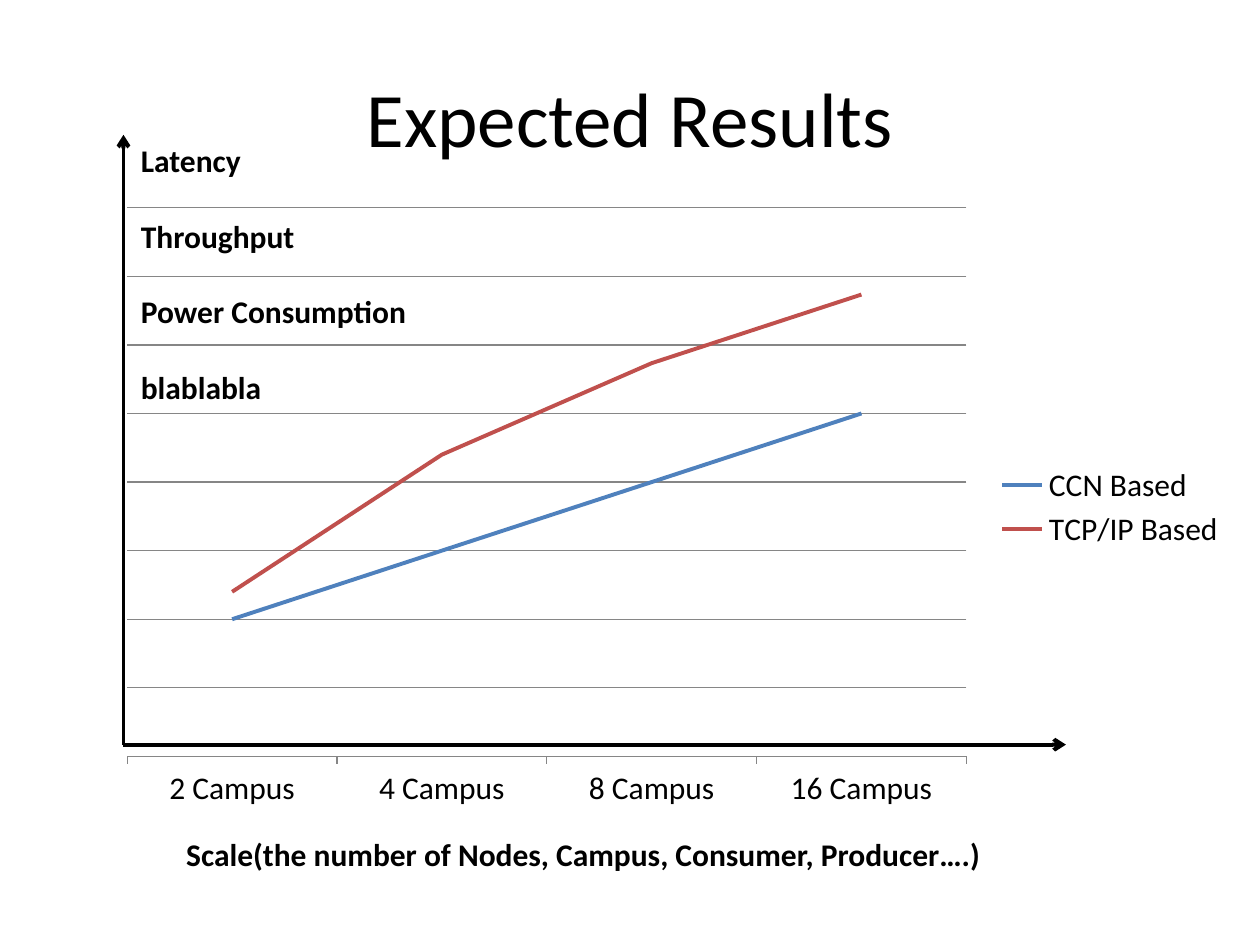
"""Build a slide with a line chart of expected results by campus scale."""
from dataclasses import dataclass

from lxml import etree
from pptx import Presentation
from pptx.chart.data import CategoryChartData
from pptx.dml.color import RGBColor
from pptx.enum.chart import (XL_AXIS_CROSSES, XL_CHART_TYPE, XL_LEGEND_POSITION,
                             XL_MARKER_STYLE, XL_TICK_LABEL_POSITION, XL_TICK_MARK)
from pptx.enum.shapes import MSO_CONNECTOR
from pptx.enum.text import MSO_ANCHOR, PP_ALIGN
from pptx.oxml import parse_xml
from pptx.oxml.ns import nsdecls, qn
from pptx.util import Inches, Pt

LINE = XL_CHART_TYPE.LINE
RIGHT = XL_LEGEND_POSITION.RIGHT
LOW = XL_TICK_LABEL_POSITION.LOW
OUT = XL_TICK_MARK.OUTSIDE
LEAST = XL_AXIS_CROSSES.MINIMUM
BARE = XL_MARKER_STYLE.NONE
STRAIGHT = MSO_CONNECTOR.STRAIGHT
LEFT, CENTER = PP_ALIGN.LEFT, PP_ALIGN.CENTER
TOP, MIDDLE = MSO_ANCHOR.TOP, MSO_ANCHOR.MIDDLE


@dataclass(frozen=True)
class Theme:
    font: str = "Calibri"
    ink: RGBColor = RGBColor(0, 0, 0)
    grid: RGBColor = RGBColor(0x86, 0x86, 0x86)
    head: float = 44
    body: float = 18
    thin: float = 0.75
    thick: float = 2.25


@dataclass(frozen=True)
class Label:
    box: tuple[float, float, float, float]
    lines: tuple[str, ...]
    size: float
    bold: bool = True
    align: PP_ALIGN = LEFT
    anchor: MSO_ANCHOR = TOP
    gap: float = 0


@dataclass(frozen=True)
class Trend:
    name: str
    values: tuple[int, ...]
    color: RGBColor


@dataclass(frozen=True)
class Arrow:
    start: tuple[float, float]
    end: tuple[float, float]


THEME = Theme()
CHART = (0.83, 1.55, 9, 4.95)
PLOT = {"x": 0.02, "y": 0.02, "w": 0.74, "h": 0.88}
CAMPUS = [f"{count} Campus" for count in (2, 4, 8, 16)]
TRENDS = (
    Trend("CCN Based", (29, 44, 59, 74), RGBColor(0x4F, 0x81, 0xBD)),
    Trend("TCP/IP Based", (35, 65, 85, 100), RGBColor(0xC0, 0x50, 0x4D)),
)
ORIGIN = (0.98, 5.91)
ARROWS = (Arrow(ORIGIN, (0.98, 1.07)), Arrow(ORIGIN, (8.46, 5.91)))
LABELS = (
    Label((0.5, 0.3, 9, 1.25), ("Expected Results",), THEME.head, False, CENTER, MIDDLE),
    Label((1.02, 1.07, 2.56, 2.22),
          ("Latency", "Throughput", "Power Consumption", "blablabla"), THEME.body, gap=21.6),
    Label((1.38, 6.58, 7.4, 0.4),
          ("Scale(the number of Nodes, Campus, Consumer, Producer….)",), THEME.body),
)


def apply(target: object, values: dict[str, object]) -> None:
    for name, value in values.items():
        setattr(target, name, value)


def style(font: object, size: float, bold: bool = False) -> None:
    apply(font, {"name": THEME.font, "size": Pt(size), "bold": bold})
    font.color.rgb = THEME.ink


def stroke(line: object, color: RGBColor, width: float) -> None:
    line.color.rgb = color
    line.width = Pt(width)


def write(slide: object, label: Label) -> None:
    frame = slide.shapes.add_textbox(*map(Inches, label.box)).text_frame
    apply(frame, {"word_wrap": True, "vertical_anchor": label.anchor,
                  "text": "\n".join(label.lines)})
    for part in frame.paragraphs:
        apply(part, {"alignment": label.align, "space_after": Pt(label.gap)})
        style(part.runs[0].font, label.size, label.bold)


def point(slide: object, arrow: Arrow) -> None:
    shape = slide.shapes.add_connector(STRAIGHT, *map(Inches, arrow.start + arrow.end))
    stroke(shape.line, THEME.ink, THEME.thick)
    etree.SubElement(shape.line._get_or_add_ln(), qn("a:tailEnd"), type="arrow")
    etree.SubElement(shape._element.spPr, qn("a:effectLst"))


def place(chart: object) -> None:
    area = chart._chartSpace.chart.plotArea
    for old in area.findall(qn("c:layout")):
        area.remove(old)
    sizes = "".join(f'<c:{key} val="{value}"/>' for key, value in PLOT.items())
    area.insert(0, parse_xml(
        f'<c:layout {nsdecls("c")}><c:manualLayout><c:layoutTarget val="inner"/>'
        f'<c:xMode val="edge"/><c:yMode val="edge"/>{sizes}'
        '</c:manualLayout></c:layout>'))


def plot(slide: object) -> None:
    data = CategoryChartData()
    data.categories = CAMPUS
    for trend in TRENDS:
        data.add_series(trend.name, trend.values)
    chart = slide.shapes.add_chart(LINE, *map(Inches, CHART), data).chart
    apply(chart, {"has_title": False, "has_legend": True})
    apply(chart.legend, {"position": RIGHT, "include_in_layout": False})
    style(chart.font, THEME.body)
    scale, base = chart.value_axis, chart.category_axis
    apply(scale, {"visible": False, "has_major_gridlines": True, "minimum_scale": -1,
                  "maximum_scale": 119, "major_unit": 15, "crosses": LEAST})
    apply(base, {"major_tick_mark": OUT, "tick_label_position": LOW})
    for line in (scale.major_gridlines.format.line, base.format.line):
        stroke(line, THEME.grid, THEME.thin)
    lines = chart.plots[0]
    lines.vary_by_categories = False
    for series, trend in zip(lines.series, TRENDS):
        series.smooth = False
        series.marker.style = BARE
        stroke(series.format.line, trend.color, THEME.thick)
    place(chart)


def main() -> None:
    deck = Presentation()
    apply(deck, {"slide_width": Inches(10), "slide_height": Inches(7.5)})
    slide = deck.slides.add_slide(deck.slide_layouts[6])
    plot(slide)
    for arrow in ARROWS:
        point(slide, arrow)
    for label in LABELS:
        write(slide, label)
    deck.save("out.pptx")


main()
